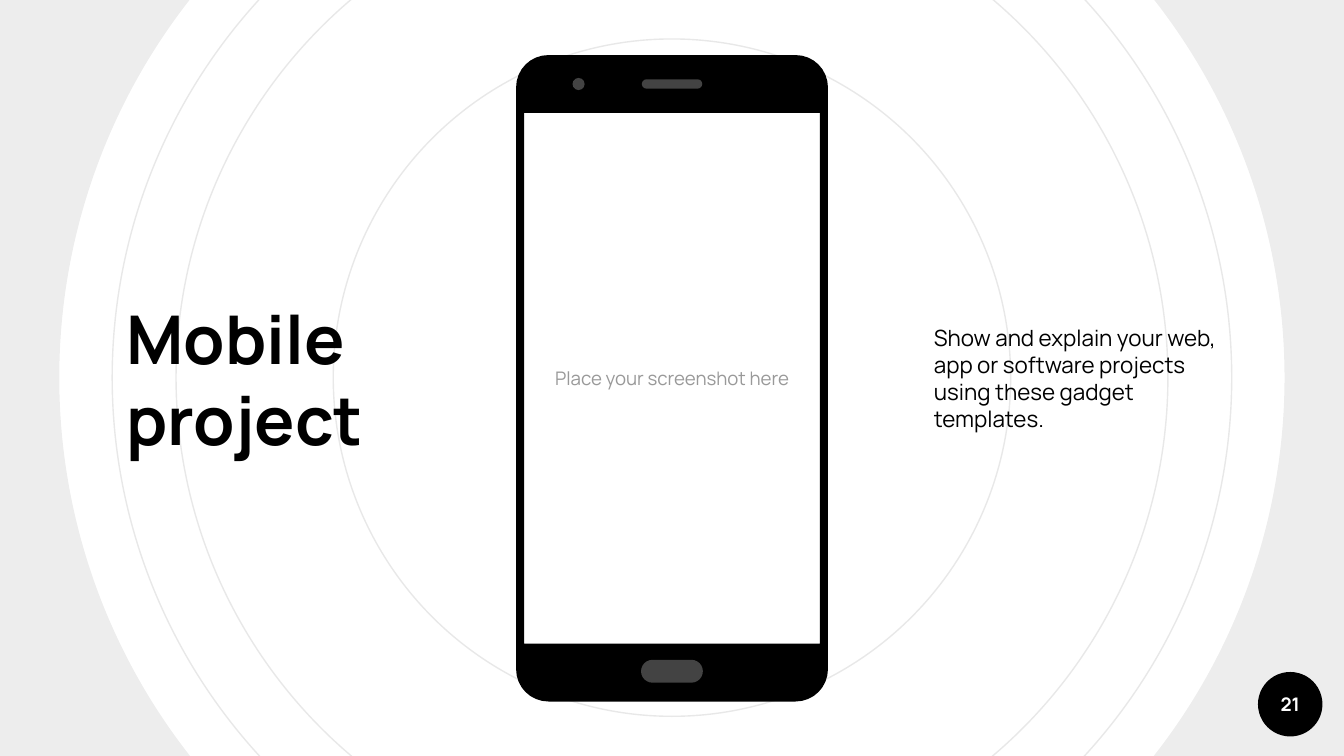
import math

from lxml import etree
from pptx import Presentation
from pptx.dml.color import RGBColor
from pptx.enum import shapes, text
from pptx.oxml.ns import qn
from pptx.util import Inches, Pt

FONT = "Manrope"
BLACK, WHITE, GREY = "000000", "FFFFFF", "434343"
SLIDE_WIDTH, SLIDE_HEIGHT = Inches(10), Inches(10) * 9 // 16
CENTER = (5, 2.81)


def color(hex_value):
    return RGBColor.from_string(hex_value)


def paint(shape, fill=None, line=None):
    shape.shadow.inherit = False
    if fill:
        shape.fill.solid()
        shape.fill.fore_color.rgb = color(fill)
    else:
        shape.fill.background()
    if line:
        shape.line.color.rgb = color(line)
        shape.line.width = Pt(0.75)
    else:
        shape.line.fill.background()


def add_preset(slide, preset, box, fill=None, line=None):
    shape = slide.shapes.add_shape(preset, *map(Inches, box))
    paint(shape, fill, line)
    return shape


def add_text(slide, box, words, size, ink=BLACK, bold=False, centered=False, before=0):
    frame = slide.shapes.add_textbox(*map(Inches, box)).text_frame
    frame.word_wrap = True
    frame.vertical_anchor = text.MSO_ANCHOR.MIDDLE
    frame.margin_left = frame.margin_right = Inches(0.1)
    frame.margin_top = frame.margin_bottom = Inches(0.1)
    paragraph = frame.paragraphs[0]
    paragraph.text = words
    paragraph.space_before = Pt(before)
    paragraph.alignment = text.PP_ALIGN.CENTER if centered else text.PP_ALIGN.LEFT
    font = paragraph.font
    font.name, font.size, font.bold = FONT, Pt(size), bold
    font.color.rgb = color(ink)


def centered_square(size):
    return CENTER[0] - size / 2, CENTER[1] - size / 2, size, size


def add_rings(slide):
    for diameter in (8.33, 7.38, 5.04):
        add_preset(slide, shapes.MSO_SHAPE.OVAL, centered_square(diameter), line="E8E8E8")
    halo = add_preset(slide, shapes.MSO_SHAPE.DONUT, centered_square(11.54), fill=BLACK)
    halo.adjustments[0] = 0.105
    tint = halo.fill._xPr.find(qn("a:solidFill"))[0]
    etree.SubElement(tint, qn("a:alpha")).set("val", "7000")


def add_page_number(slide, box, number):
    add_preset(slide, shapes.MSO_SHAPE.OVAL, box, fill=BLACK)
    add_text(slide, box, number, 10, WHITE, bold=True, centered=True)


def rounded_outline(left, top, width, height, radius, steps=8):
    """Return clockwise points, starting at the left end of the top-left arc."""
    right, bottom = left + width - radius, top + height - radius
    corners = [(left + radius, top + radius), (right, top + radius),
               (right, bottom), (left + radius, bottom)]
    points = []
    for quarter, (x, y) in enumerate(corners):
        for step in range(steps + 1):
            angle = math.pi + (quarter + step / steps) * math.pi / 2
            points.append((x + radius * math.cos(angle), y + radius * math.sin(angle)))
    return points


def in_emu(points):
    return [(Inches(x), Inches(y)) for x, y in points]


def add_phone(slide, box):
    left, top, width, height = box
    side, bezel = 0.06, 0.43
    x1, x2 = left + side, left + width - side
    y1, y2 = top + bezel, top + height - bezel
    add_text(slide, (x1, y1, x2 - x1, y2 - y1), "Place your screenshot here",
             10, "999999", centered=True)

    outline = in_emu(rounded_outline(left, top, width, height, 0.24))
    screen = in_emu([(x1, y1), (x1, y2), (x2, y2), (x2, y1)])
    body = slide.shapes.build_freeform(*outline[0])
    body.add_line_segments(outline[1:])
    body.move_to(*screen[0])
    body.add_line_segments(screen[1:])
    paint(body.convert_to_shape(), BLACK)

    middle = left + width / 2
    home = (middle - 0.23, top + 4.5, 0.46, 0.17)
    camera = (left + 0.42, top + 0.17, 0.09, 0.09)
    speaker = (middle - 0.225, top + 0.18, 0.45, 0.07)
    for part in (home, camera, speaker):
        pill = add_preset(slide, shapes.MSO_SHAPE.ROUNDED_RECTANGLE, part, fill=GREY)
        pill.adjustments[0] = 0.5


def add_mobile_project_slide(deck):
    slide = deck.slides.add_slide(deck.slide_layouts[6])
    slide.background.fill.solid()
    slide.background.fill.fore_color.rgb = color(WHITE)
    add_rings(slide)
    add_page_number(slide, (9.36, 5, 0.48, 0.48), "21")
    add_text(slide, (0.84, 0.49, 2.32, 4.65), "Mobile project", 36, bold=True, before=6)
    add_phone(slide, (3.84, 0.41, 2.32, 4.81))
    add_text(slide, (6.85, 0.49, 2.32, 4.65),
             "Show and explain your web, app or software projects "
             "using these gadget templates.", 12, before=6)


def main():
    deck = Presentation()
    deck.slide_width, deck.slide_height = SLIDE_WIDTH, SLIDE_HEIGHT
    add_mobile_project_slide(deck)
    deck.save("out.pptx")


if __name__ == "__main__":
    main()
